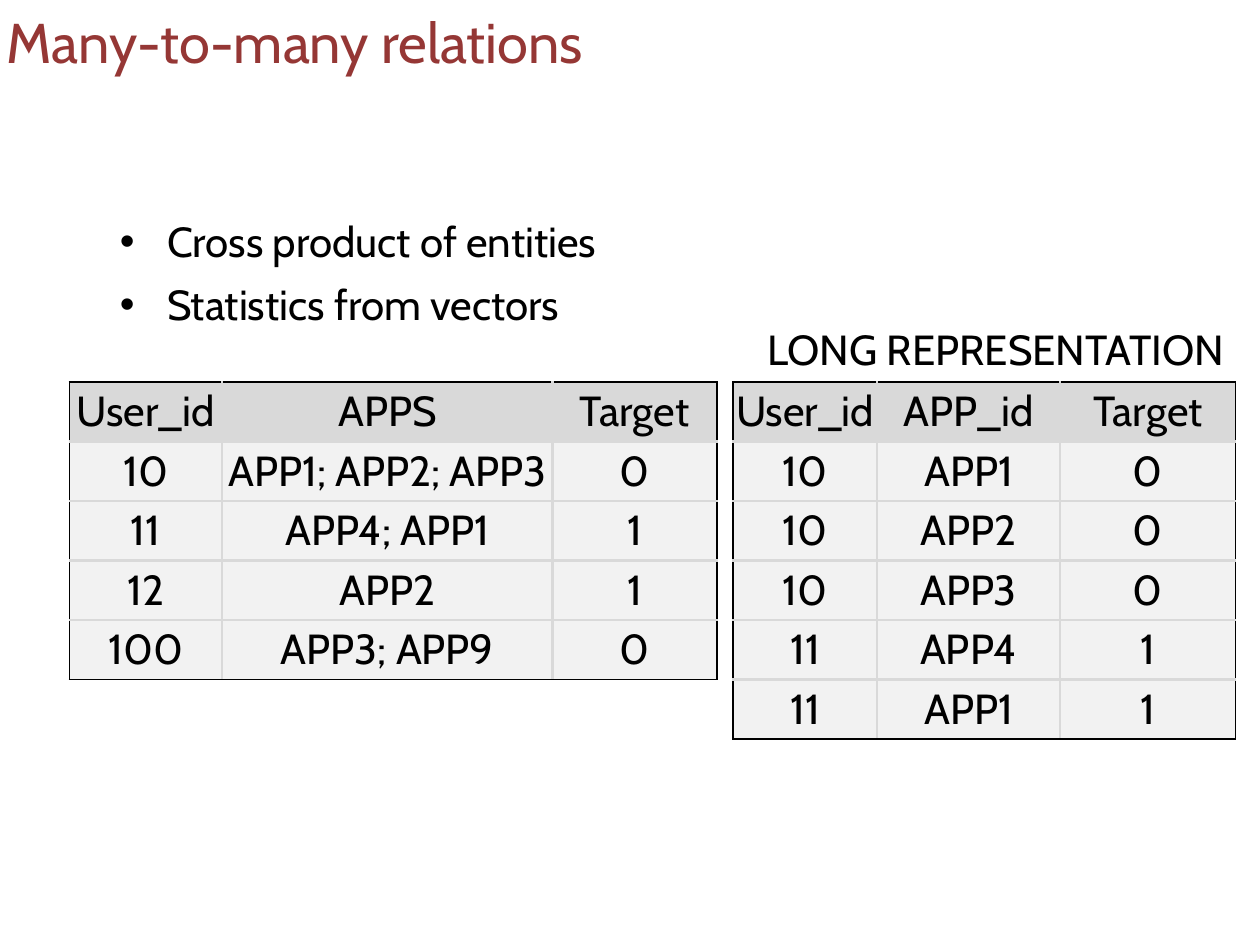
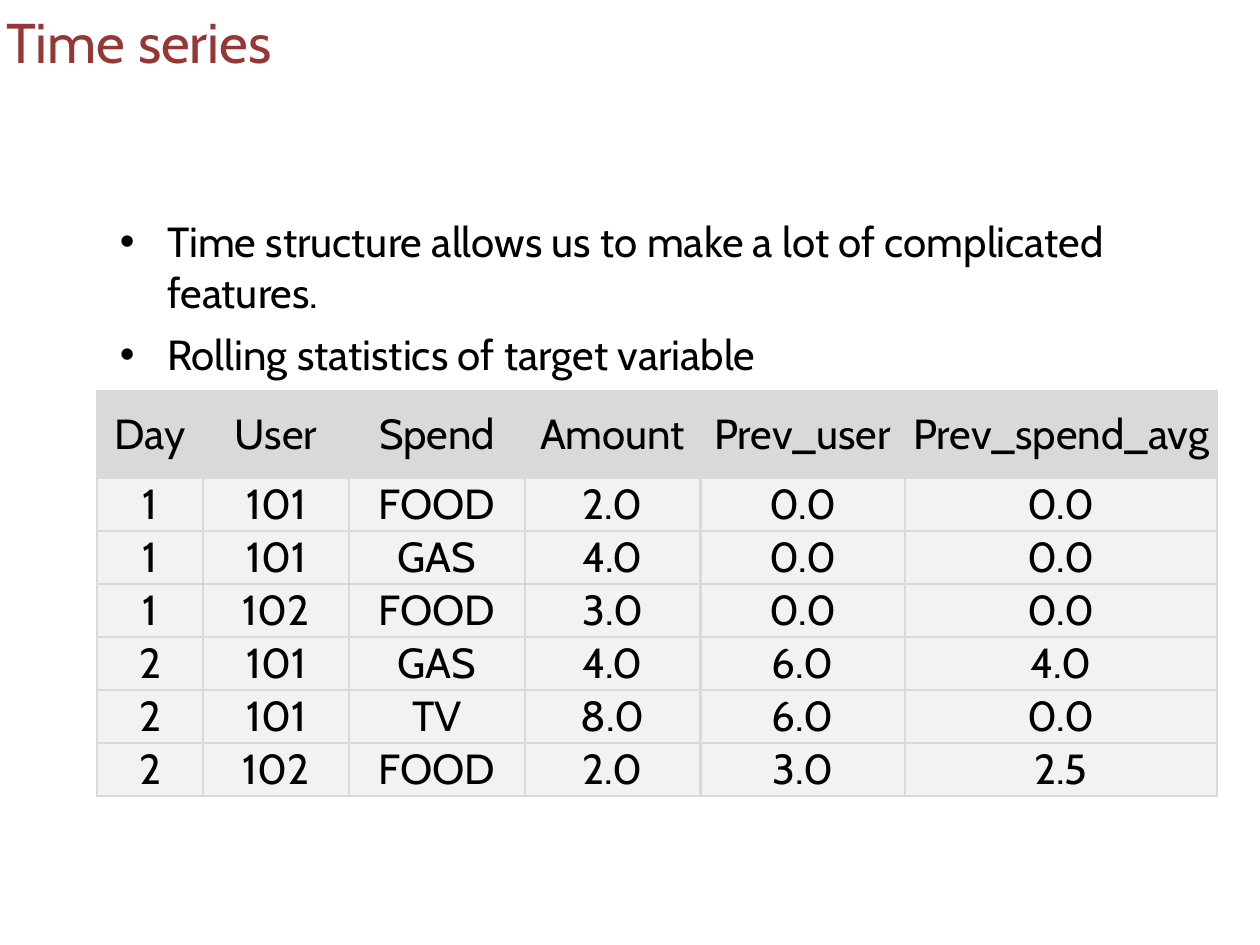
from lxml.etree import SubElement
from pptx import Presentation
from pptx.dml.color import RGBColor
from pptx.enum.text import MSO_ANCHOR as Anchor, PP_ALIGN as Align
from pptx.oxml.ns import qn
from pptx.util import Cm, Pt

# Shared look
FONT = "Cabin"
TITLE, INK, GRID, CELL = "953735", "000000", "D9D9D9", "F2F2F2"
INSET = Cm(0.13)
INNER, OUTER = (GRID, 1.5), (INK, 1)


def color(value):
    return RGBColor.from_string(value)


def style(p, size=24, ink=INK):
    for r in p.runs:
        r.font.name = FONT
        r.font.size = Pt(size)
        r.font.color.rgb = color(ink)


def add_text(s, box, text, size=24, ink=INK, anchor=Anchor.TOP):
    sp = s.shapes.add_textbox(*[Cm(v) for v in box])
    tf = sp.text_frame
    tf.word_wrap = True
    tf.vertical_anchor = anchor
    tf.margin_left = tf.margin_right = tf.margin_top = tf.margin_bottom = INSET
    tf.text = text
    for p in tf.paragraphs:
        style(p, size, ink)
    return tf


def add_title(s, text):
    add_text(s, (0, 0, 23.8, 1.63), text, 32, TITLE, Anchor.BOTTOM)


def add_bullets(s, items):
    tf = add_text(s, (2.29, 4.22, 22.63, 9.47), "\n".join(items))
    for p in tf.paragraphs:
        p.space_before = Pt(7)
        pPr = p._p.get_or_add_pPr()
        pPr.set("marL", str(Cm(0.95)))
        pPr.set("indent", str(-Cm(0.95)))
        SubElement(pPr, qn("a:buFont"), typeface="Arial")
        SubElement(pPr, qn("a:buChar"), char="•")


def add_border(cell, side, line):
    ink, width = line
    ln = SubElement(cell._tc.get_or_add_tcPr(), qn(f"a:ln{side}"), w=str(Pt(width)))
    SubElement(SubElement(ln, qn("a:solidFill")), qn("a:srgbClr"), val=ink)


def add_grid(s, left, top, col_widths, row_heights, rows, outer=INNER):
    """Table with a shaded header row, grey inner lines and its own outline."""
    last_row, last_col = len(rows) - 1, len(col_widths) - 1
    frame = s.shapes.add_table(len(rows), len(col_widths), Cm(left), Cm(top),
                               Cm(sum(col_widths)), Cm(sum(row_heights)))
    table = frame.table
    table.first_row = table.horz_banding = False
    for col, width in zip(table.columns, col_widths):
        col.width = Cm(width)
    for i, (row, height) in enumerate(zip(rows, row_heights)):
        table.rows[i].height = Cm(height)
        for j, text in enumerate(row):
            cell = table.cell(i, j)
            edges = {"L": j == 0, "R": j == last_col, "T": i == 0, "B": i == last_row}
            for side, is_outer in edges.items():
                add_border(cell, side, outer if is_outer else INNER)
            cell.fill.solid()
            cell.fill.fore_color.rgb = color(CELL if i else GRID)
            cell.margin_left = cell.margin_right = 0
            cell.margin_top = cell.margin_bottom = 0
            cell.vertical_anchor = Anchor.MIDDLE
            cell.text = text
            p = cell.text_frame.paragraphs[0]
            p.alignment = Align.CENTER
            style(p)


def add_slide(prs, title, bullets):
    s = prs.slides.add_slide(prs.slide_layouts[6])
    add_title(s, title)
    add_bullets(s, bullets)
    return s


def main():
    prs = Presentation()
    prs.slide_width, prs.slide_height = Cm(25.4), Cm(19.05)

    # Many-to-many relations: wide and long tables
    s = add_slide(prs, "Many-to-many relations",
                  ["Cross product of entities", "Statistics from vectors"])
    wide_rows = [
        ("User_id", "APPS", "Target"),
        ("10", "APP1; APP2; APP3", "0"),
        ("11", "APP4; APP1", "1"),
        ("12", "APP2", "1"),
        ("100", "APP3; APP9", "0"),
    ]
    long_rows = [
        ("User_id", "APP_id", "Target"),
        ("10", "APP1", "0"),
        ("10", "APP2", "0"),
        ("10", "APP3", "0"),
        ("11", "APP4", "1"),
        ("11", "APP1", "1"),
    ]
    add_grid(s, 1.4, 7.7, (3.08, 6.66, 3.31), [1.2] * len(wide_rows), wide_rows, OUTER)
    add_grid(s, 14.78, 7.7, (2.9, 3.69, 3.54), [1.2] * len(long_rows), long_rows, OUTER)
    add_text(s, (15.34, 6.4, 10.57, 1.27), "LONG REPRESENTATION")

    # Time series: spending by day
    s = add_slide(prs, "Time series", [
        "Time structure allows us to make a lot of complicated features.",
        "Rolling statistics of target variable",
    ])
    spend_rows = [
        ("Day", "User", "Spend", "Amount", "Prev_user", "Prev_spend_avg"),
        ("1", "101", "FOOD", "2.0", "0.0", "0.0"),
        ("1", "101", "GAS", "4.0", "0.0", "0.0"),
        ("1", "102", "FOOD", "3.0", "0.0", "0.0"),
        ("2", "101", "GAS", "4.0", "6.0", "4.0"),
        ("2", "101", "TV", "8.0", "6.0", "0.0"),
        ("2", "102", "FOOD", "2.0", "3.0", "2.5"),
    ]
    add_grid(s, 1.96, 7.88, (2.13, 2.95, 3.54, 3.54, 4.12, 6.3),
             [1.75] + [1.07] * (len(spend_rows) - 1), spend_rows)

    prs.save("out.pptx")


if __name__ == "__main__":
    main()
